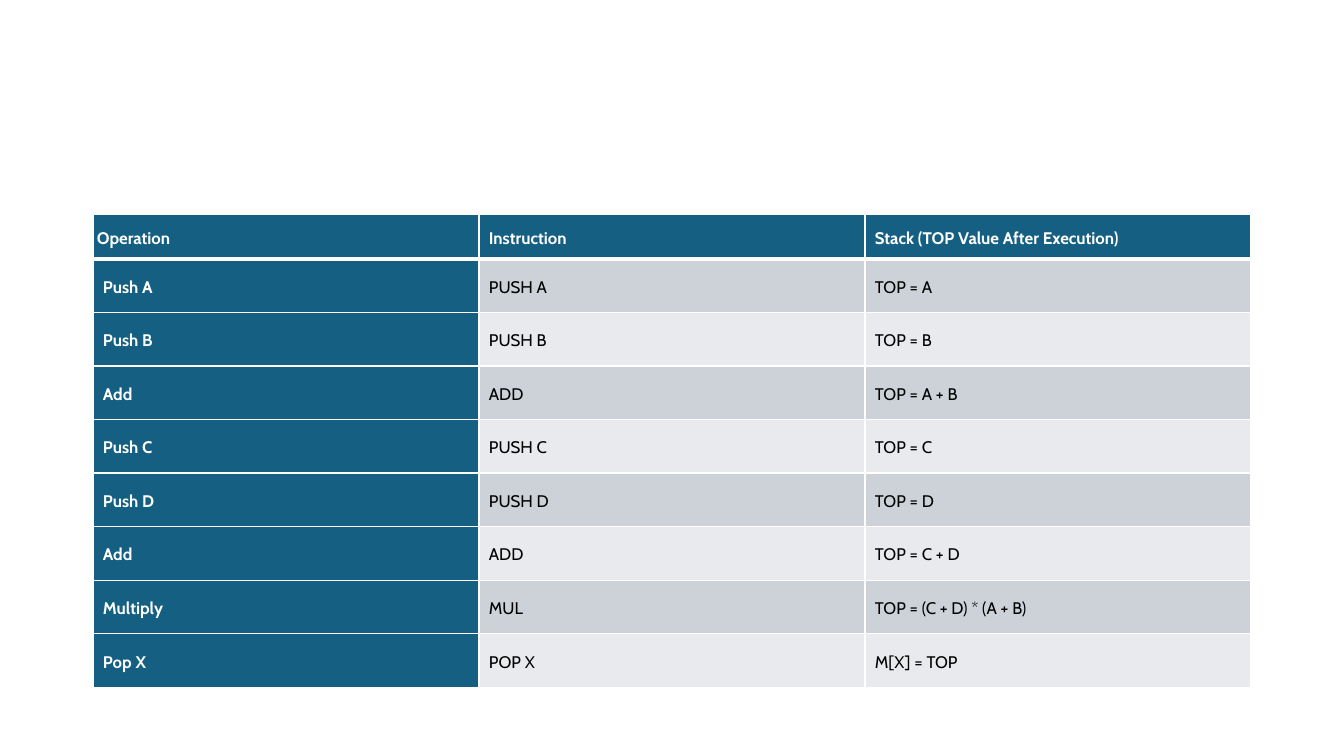
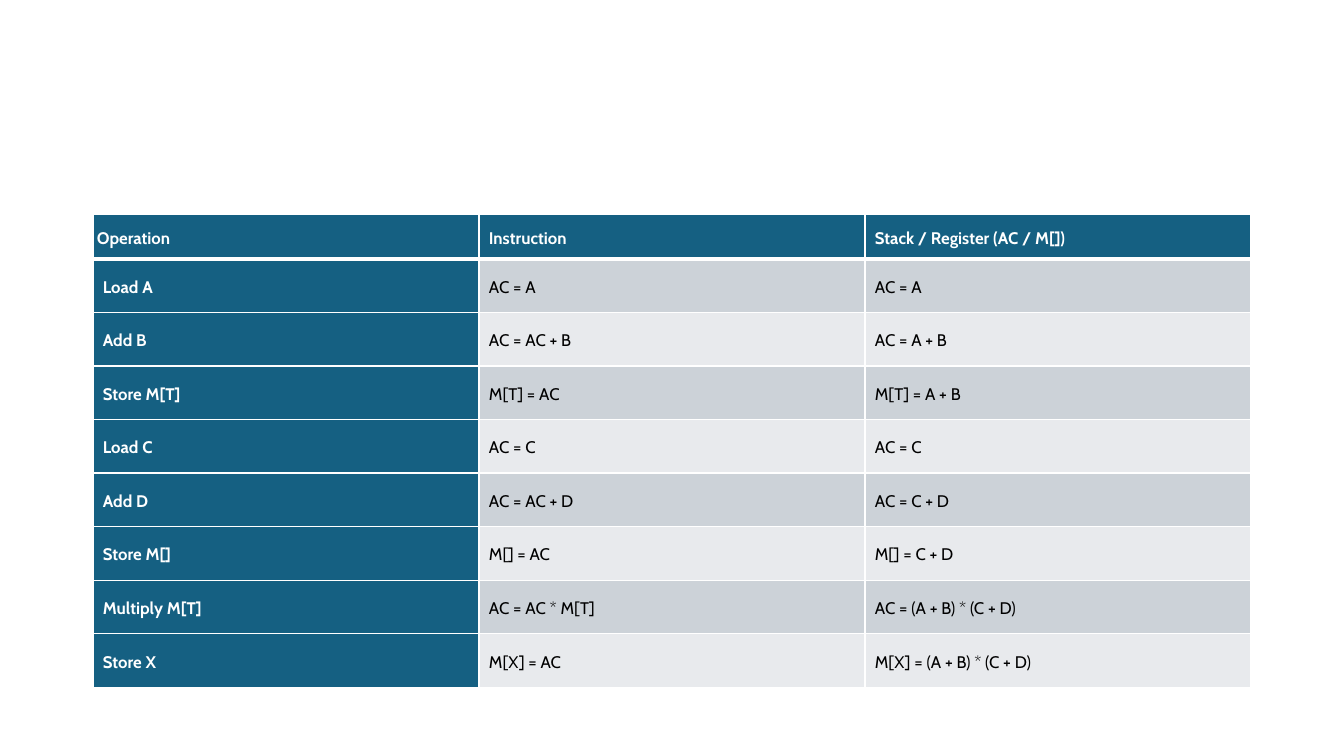
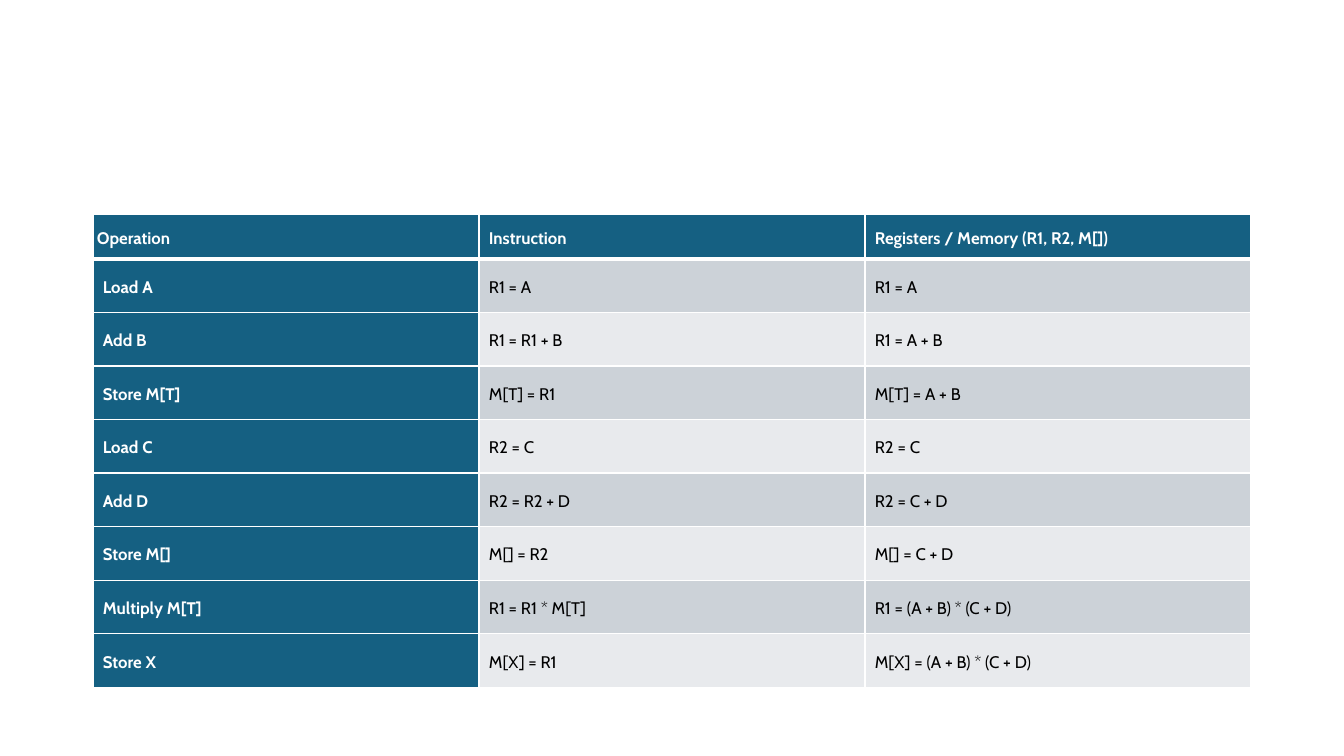
from dataclasses import dataclass

from pptx import Presentation
from pptx.dml.color import RGBColor
from pptx.enum.text import MSO_ANCHOR as Anchor
from pptx.oxml.ns import qn
from pptx.slide import Slide
from pptx.table import _Cell as Cell
from pptx.util import Emu, Pt
from lxml.etree import SubElement

SLIDE_W, SLIDE_H = 1344, 756
EMU_PER_PX = 12192000 / SLIDE_W
FONT = "Cabin"
COLORS = {"head": "156082", "odd": "CCD2D8", "even": "E8EAED",
          "white": "FFFFFF", "black": "000000"}

LEFT, TOP = 93, 214
COL_W, HEAD_H, ROW_H = 386, 45, 53
THIN, THICK = 1, 3


@dataclass(frozen=True)
class CellStyle:
    fill: str
    color: str
    bold: bool
    anchor: Anchor
    pad_x: int
    pad_y: int


@dataclass(frozen=True)
class StepTable:
    state_heading: str
    steps: tuple[tuple[str, str, str], ...]


TABLES = (
    StepTable("Stack (TOP Value After Execution)", (
        ("Push A", "PUSH A", "TOP = A"),
        ("Push B", "PUSH B", "TOP = B"),
        ("Add", "ADD", "TOP = A + B"),
        ("Push C", "PUSH C", "TOP = C"),
        ("Push D", "PUSH D", "TOP = D"),
        ("Add", "ADD", "TOP = C + D"),
        ("Multiply", "MUL", "TOP = (C + D) * (A + B)"),
        ("Pop X", "POP X", "M[X] = TOP"),
    )),
    StepTable("Stack / Register (AC / M[])", (
        ("Load A", "AC = A", "AC = A"),
        ("Add B", "AC = AC + B", "AC = A + B"),
        ("Store M[T]", "M[T] = AC", "M[T] = A + B"),
        ("Load C", "AC = C", "AC = C"),
        ("Add D", "AC = AC + D", "AC = C + D"),
        ("Store M[]", "M[] = AC", "M[] = C + D"),
        ("Multiply M[T]", "AC = AC * M[T]", "AC = (A + B) * (C + D)"),
        ("Store X", "M[X] = AC", "M[X] = (A + B) * (C + D)"),
    )),
    StepTable("Registers / Memory (R1, R2, M[])", (
        ("Load A", "R1 = A", "R1 = A"),
        ("Add B", "R1 = R1 + B", "R1 = A + B"),
        ("Store M[T]", "M[T] = R1", "M[T] = A + B"),
        ("Load C", "R2 = C", "R2 = C"),
        ("Add D", "R2 = R2 + D", "R2 = C + D"),
        ("Store M[]", "M[] = R2", "M[] = C + D"),
        ("Multiply M[T]", "R1 = R1 * M[T]", "R1 = (A + B) * (C + D)"),
        ("Store X", "M[X] = R1", "M[X] = (A + B) * (C + D)"),
    )),
)


def px(n: int) -> Emu:
    return Emu(round(n * EMU_PER_PX))


def rgb(name: str) -> RGBColor:
    return RGBColor.from_string(COLORS[name])


def cell_style(row: int, col: int) -> CellStyle:
    if row == 0:
        return CellStyle("head", "white", True, Anchor.BOTTOM, 10 if col else 4, 10)
    if col == 0:
        return CellStyle("head", "white", True, Anchor.MIDDLE, 10, 15)
    return CellStyle("odd" if row % 2 else "even", "black", False, Anchor.MIDDLE, 10, 15)


def add_borders(cell: Cell, row: int) -> None:
    """Rule all four sides in white, heavier between the heading and the steps."""
    widths = {"L": THIN, "R": THIN,
              "T": THICK if row == 1 else THIN,
              "B": THICK if row == 0 else THIN}
    tc_pr = cell._tc.get_or_add_tcPr()
    for side, width in widths.items():
        ln = SubElement(tc_pr, qn(f"a:ln{side}"), w=str(Pt(width)))
        fill = SubElement(ln, qn("a:solidFill"))
        SubElement(fill, qn("a:srgbClr"), val=COLORS["white"])


def fill_cell(cell: Cell, text: str, row: int, col: int) -> None:
    style = cell_style(row, col)
    add_borders(cell, row)
    cell.fill.solid()
    cell.fill.fore_color.rgb = rgb(style.fill)
    cell.vertical_anchor = style.anchor
    cell.margin_left = cell.margin_right = px(style.pad_x)
    cell.margin_top = cell.margin_bottom = px(style.pad_y)
    p = cell.text_frame.paragraphs[0]
    p.text = text
    p.line_spacing = 1.15
    p.space_after = Pt(8)
    p.font.name = FONT
    p.font.size = Pt(12)
    p.font.bold = style.bold
    p.font.color.rgb = rgb(style.color)


def add_step_table(s: Slide, data: StepTable) -> None:
    rows = (("Operation", "Instruction", data.state_heading), *data.steps)
    n_cols = len(rows[0])
    height = HEAD_H + ROW_H * len(data.steps)
    table = s.shapes.add_table(len(rows), n_cols, px(LEFT), px(TOP),
                               px(COL_W * n_cols), px(height)).table
    table.horz_banding = False
    table.first_col = True
    for column in table.columns:
        column.width = px(COL_W)
    for i, texts in enumerate(rows):
        table.rows[i].height = px(ROW_H if i else HEAD_H)
        for j, text in enumerate(texts):
            fill_cell(table.cell(i, j), text, i, j)


def main() -> None:
    prs = Presentation()
    prs.slide_width, prs.slide_height = px(SLIDE_W), px(SLIDE_H)
    blank = prs.slide_layouts[6]
    for data in TABLES:
        add_step_table(prs.slides.add_slide(blank), data)
    prs.save("out.pptx")


if __name__ == "__main__":
    main()
